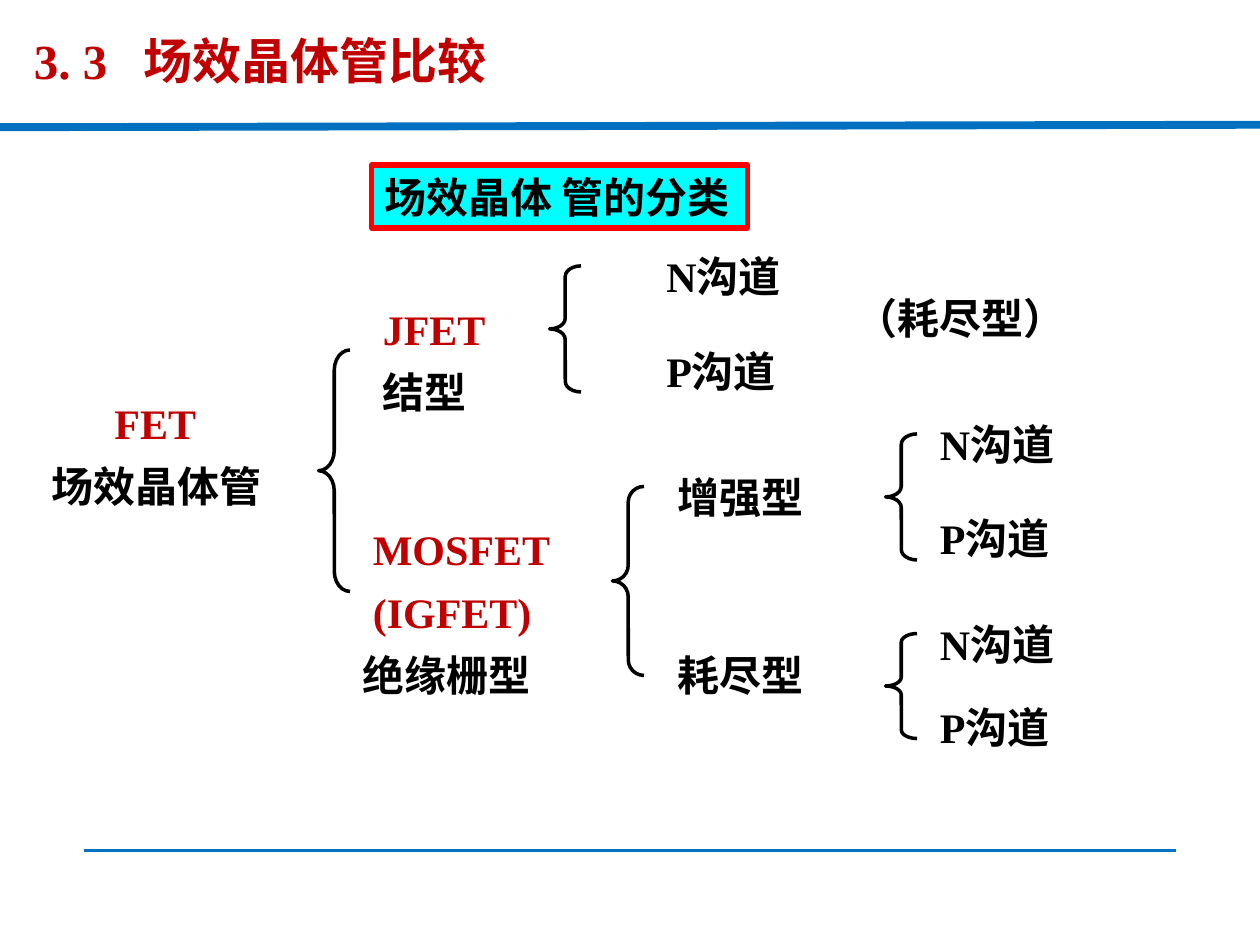
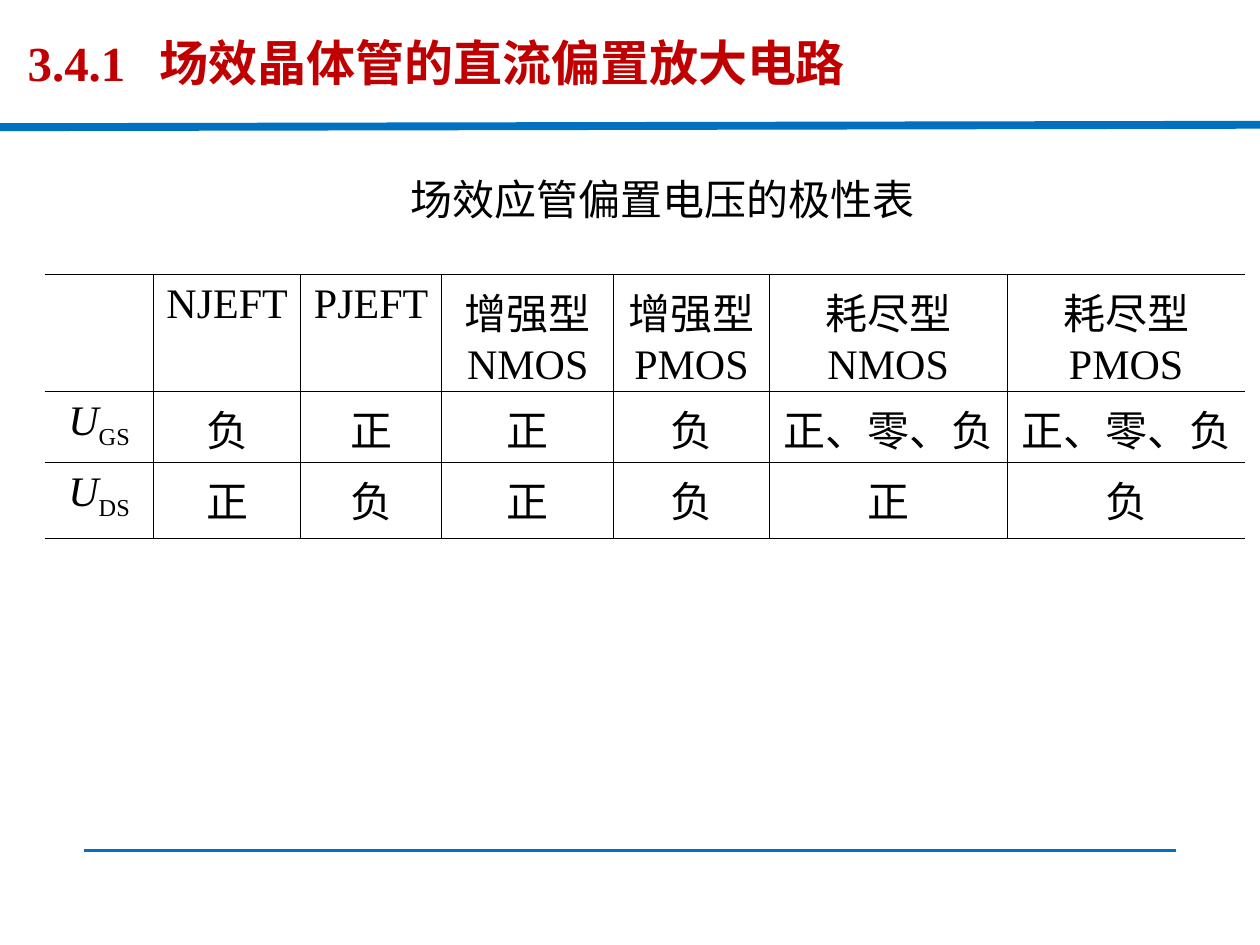
from dataclasses import dataclass

from lxml import etree
from pptx import Presentation
from pptx.dml.color import RGBColor
from pptx.enum.shapes import MSO_CONNECTOR, MSO_SHAPE
from pptx.enum.text import MSO_ANCHOR, MSO_AUTO_SIZE, PP_ALIGN
from pptx.oxml import parse_xml
from pptx.oxml.ns import qn
from pptx.util import Pt

STRAIGHT = MSO_CONNECTOR.STRAIGHT
RECTANGLE, LEFT_BRACE = MSO_SHAPE.RECTANGLE, MSO_SHAPE.LEFT_BRACE
TOP = MSO_ANCHOR.TOP
NO_AUTOSIZE = MSO_AUTO_SIZE.NONE
LEFT, CENTER = PP_ALIGN.LEFT, PP_ALIGN.CENTER
DRAWING = "http://schemas.openxmlformats.org/drawingml/2006/main"
TITLE_ONLY = 5


@dataclass(frozen=True)
class Theme:
    ink: str = "000000"
    accent: str = "C00000"
    rule: str = "0070C0"
    banner_fill: str = "00FFFF"
    banner_line: str = "FF0000"
    latin_font: str = "Times New Roman"
    title_font: str = "Noto Sans CJK SC"
    caption_font: str = "DejaVu Sans"
    title_size: int = 28
    body_size: int = 24
    border: float = 0.45


class Deck:
    """Holds the theme, the presentation and the slide being built."""

    def __init__(self, theme):
        self.theme = theme
        self.presentation = Presentation()
        self.presentation.slide_width = Pt(720)
        self.presentation.slide_height = Pt(540)
        self.slide = None

    def new_slide(self):
        layout = self.presentation.slide_layouts[TITLE_ONLY]
        self.slide = self.presentation.slides.add_slide(layout)
        self.rule((0, 72.7), (720, 71.3), 4.5)
        self.rule((48, 486), (672, 486), 1.5)

    def style(self, paragraph, color, size=None, name=None, bold=False):
        font = paragraph.font
        font.name = name or self.theme.latin_font
        font.size = Pt(size or self.theme.body_size)
        font.bold = bold
        font.color.rgb = RGBColor.from_string(color)

    def rule(self, start, end, width):
        points = [Pt(value) for value in (*start, *end)]
        connector = self.slide.shapes.add_connector(STRAIGHT, *points)
        connector.line.color.rgb = RGBColor.from_string(self.theme.rule)
        connector.line.width = Pt(width)
        properties = connector._element.spPr
        etree.SubElement(properties, qn("a:effectLst"))

    def title(self, number, runs, left, top, width, tab):
        """Section number, a tab stop, then the heading runs (text, font)."""
        shape = self.slide.shapes.title
        shape.left, shape.top = Pt(left), Pt(top)
        shape.width, shape.height = Pt(width), Pt(42)
        frame = shape.text_frame
        frame.vertical_anchor = TOP
        frame.auto_size = NO_AUTOSIZE
        frame.word_wrap = True
        paragraph = frame.paragraphs[0]
        paragraph.alignment = LEFT
        tabs = etree.SubElement(paragraph._p.get_or_add_pPr(), qn("a:tabLst"))
        etree.SubElement(tabs, qn("a:tab"), pos=str(Pt(tab)), algn="l")
        self.style(paragraph, self.theme.accent, self.theme.title_size, bold=True)
        for text, name in [(number + "\t", self.theme.latin_font), *runs]:
            run = paragraph.add_run()
            run.text = text
            run.font.name = name

    def text(self, text, left, top, width=102, height=42, color=None,
             name=None, bold=True, spacing=1.2):
        box = self.slide.shapes.add_textbox(Pt(left), Pt(top), Pt(width), Pt(height))
        box.text_frame.word_wrap = True
        paragraph = box.text_frame.paragraphs[0]
        paragraph.text = text
        paragraph.line_spacing = spacing
        self.style(paragraph, color or self.theme.ink, name=name, bold=bold)

    def preset(self, kind, left, top, width, height, line, line_width):
        shape = self.slide.shapes.add_shape(
            kind, Pt(left), Pt(top), Pt(width), Pt(height))
        shape.shadow.inherit = False
        shape.fill.background()
        shape.line.color.rgb = RGBColor.from_string(line)
        shape.line.width = Pt(line_width)
        return shape

    def brace(self, left, top, height, width=18):
        shape = self.preset(LEFT_BRACE, left, top, width, height, self.theme.ink, 2)
        # Each curl is one twelfth of the height
        shape.adjustments[0] = height / (12 * width)

    def banner(self, text, left, top, width, height):
        shape = self.preset(RECTANGLE, left, top, width, height,
                            self.theme.banner_line, 3)
        shape.fill.solid()
        shape.fill.fore_color.rgb = RGBColor.from_string(self.theme.banner_fill)
        shape.text_frame.vertical_anchor = TOP
        shape.text_frame.word_wrap = True
        paragraph = shape.text_frame.paragraphs[0]
        paragraph.text = text
        paragraph.alignment = LEFT
        self.style(paragraph, self.theme.ink, bold=True)

    def cell_borders(self, cell, open_sides):
        properties = cell._tc.get_or_add_tcPr()
        for side in "LRTB":
            paint = "<a:noFill/>" if side in open_sides else (
                f'<a:solidFill><a:srgbClr val="{self.theme.ink}"/></a:solidFill>')
            properties.append(parse_xml(
                f'<a:ln{side} xmlns:a="{DRAWING}" w="{Pt(self.theme.border)}">'
                f'{paint}</a:ln{side}>'))

    def cell_text(self, cell, content):
        """A plain string, or a (symbol, subscript) pair."""
        paragraph = cell.text_frame.paragraphs[0]
        paragraph.alignment = CENTER
        self.style(paragraph, self.theme.ink)
        if isinstance(content, str):
            paragraph.text = content
            return
        symbol, subscript = (paragraph.add_run() for _ in content)
        symbol.text, subscript.text = content
        symbol.font.italic = True
        subscript._r.get_or_add_rPr().set("baseline", "-25000")

    def table(self, rows, left, top, widths, heights):
        frame = self.slide.shapes.add_table(
            len(rows), len(widths), Pt(left), Pt(top),
            Pt(sum(widths)), Pt(sum(heights)))
        table = frame.table
        table.first_row = table.horz_banding = False
        for column, width in zip(table.columns, widths):
            column.width = Pt(width)
        last = len(widths) - 1
        for row, height, contents in zip(table.rows, heights, rows):
            row.height = Pt(height)
            for index, (cell, content) in enumerate(zip(row.cells, contents)):
                cell.margin_left = cell.margin_right = Pt(5)
                cell.margin_top = cell.margin_bottom = Pt(3.6)
                self.cell_borders(cell, {0: "L", last: "R"}.get(index, ""))
                cell.fill.background()
                self.cell_text(cell, content)


def build_classification(deck):
    theme = deck.theme
    deck.new_slide()
    deck.title("3. 3", [("场效晶体管", theme.title_font), ("比较", theme.latin_font)],
               12.2, 13.7, 273, 62.6)
    deck.banner("场效晶体 管的分类", 212.4, 94.3, 214.6, 36)

    # Braces: left, top, height
    for left, top, height in [(182, 200, 138), (314, 152, 72), (350, 278, 108),
                              (506, 248, 72), (506, 362, 60)]:
        deck.brace(left, top, height)

    # Device families: English names in the accent colour
    for name, left, top, width in [("FET", 58.3, 218, 122), ("JFET", 211.7, 164, 102),
                                   ("MOSFET", 206, 290, 150), ("(IGFET)", 206, 326, 144)]:
        deck.text(name, left, top, width, color=theme.accent)
    for name, left, top, width in [("场效晶体管", 22.3, 254, 166), ("结型", 211.7, 200, 102),
                                   ("绝缘栅型", 200, 362, 144)]:
        deck.text(name, left, top, width)

    # Operating modes
    deck.text("增强型", 380, 260)
    deck.text("耗尽型", 380, 362)
    deck.text("（耗尽型）", 481.7, 157.7, 156)

    # Channel pairs: left, top of N, top of P
    for left, *tops in [(373.7, 134, 188), (530, 229.7, 283.7), (530, 344, 391.7)]:
        for channel, top in zip("NP", tops):
            deck.text(channel + "沟道", left, top)


def build_bias_polarity(deck):
    theme = deck.theme
    deck.new_slide()
    deck.title("3.4.1", [("场效晶体管的直流偏置放大电路", theme.title_font)],
               8.6, 15.1, 632, 75.6)
    deck.text("场效应管偏置电压的极性表", 227.5, 95.8, 310, 36,
              name=theme.caption_font, bold=False, spacing=1.0)
    rows = [
        ["", "NJEFT", "PJEFT", "增强型NMOS", "增强型PMOS", "耗尽型NMOS", "耗尽型PMOS"],
        [("U", "GS"), "负", "正", "正", "负", "正、零、负", "正、零、负"],
        [("U", "DS"), "正", "负", "正", "负", "正", "负"],
    ]
    deck.table(rows, 25.5, 156.8, [62.3, 84, 80.6, 98.4, 88.8, 136, 136],
               [66.9, 40.5, 43.6])


def main():
    deck = Deck(Theme())
    build_classification(deck)
    build_bias_polarity(deck)
    deck.presentation.save("out.pptx")


if __name__ == "__main__":
    main()
